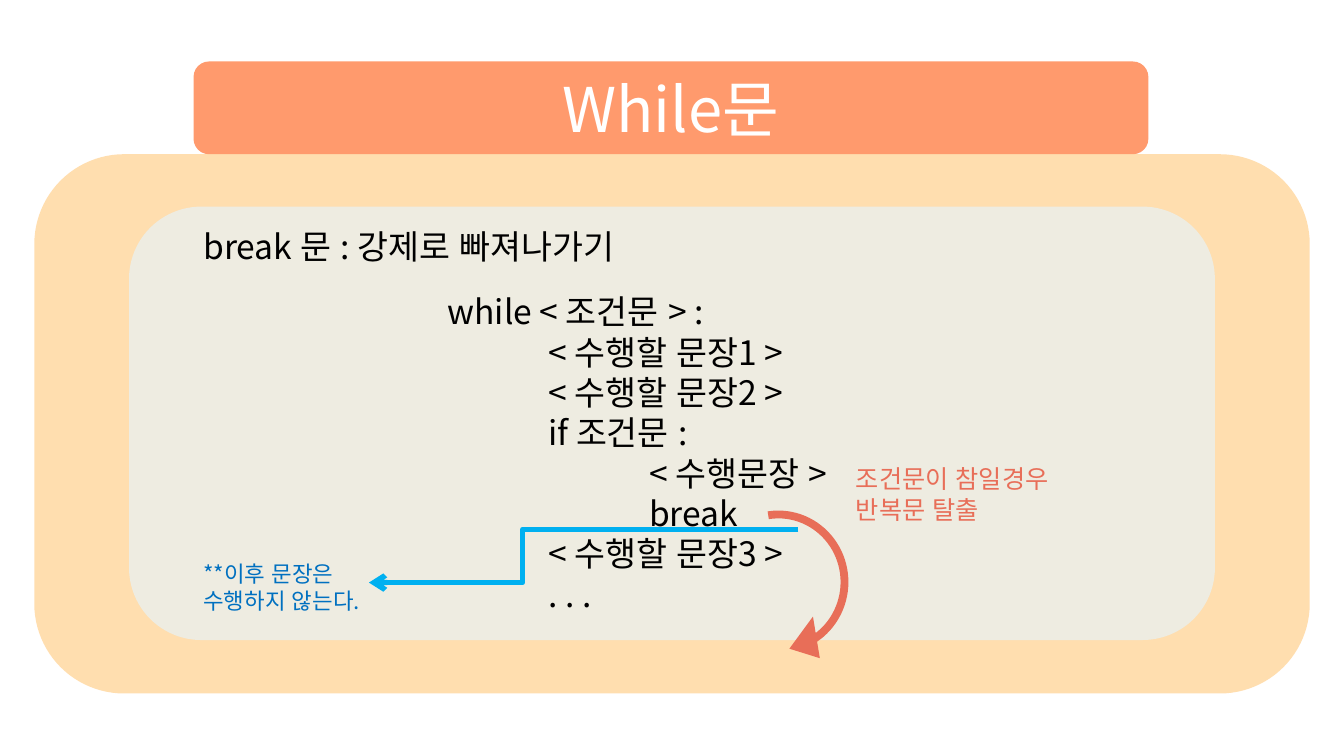
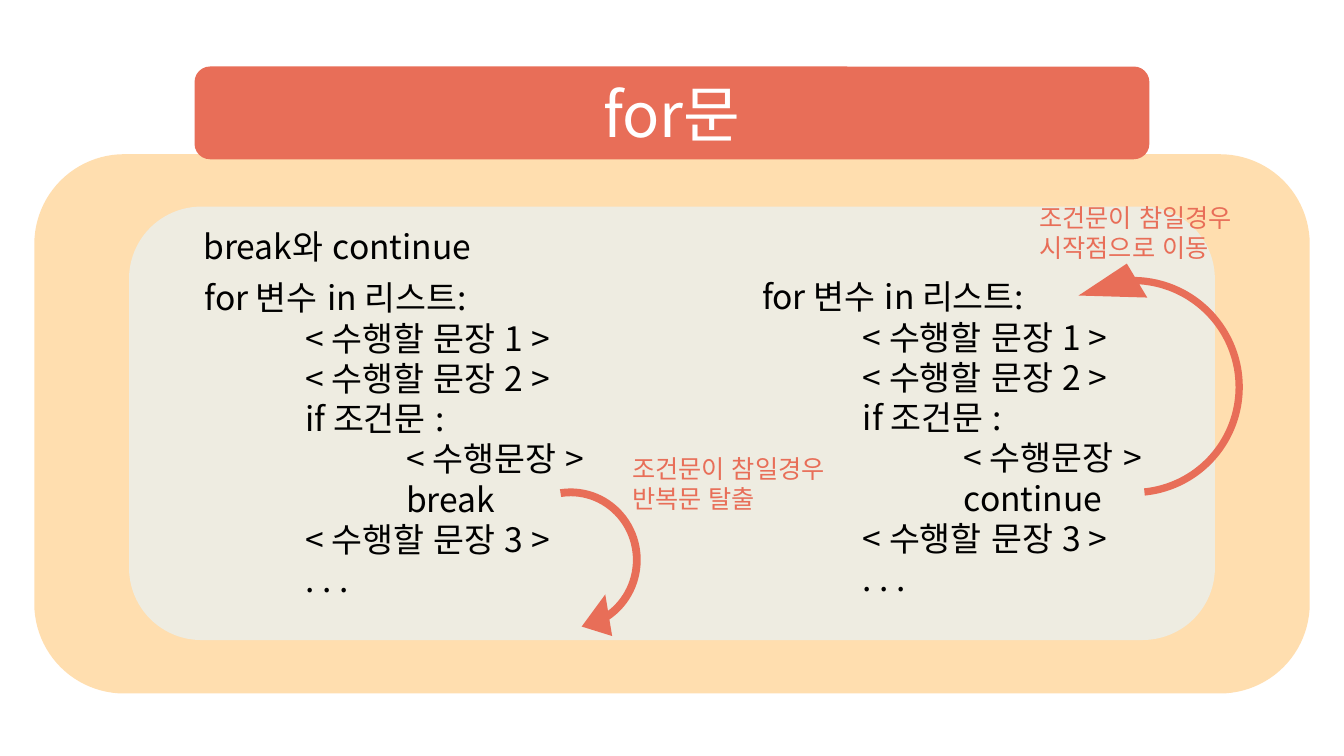
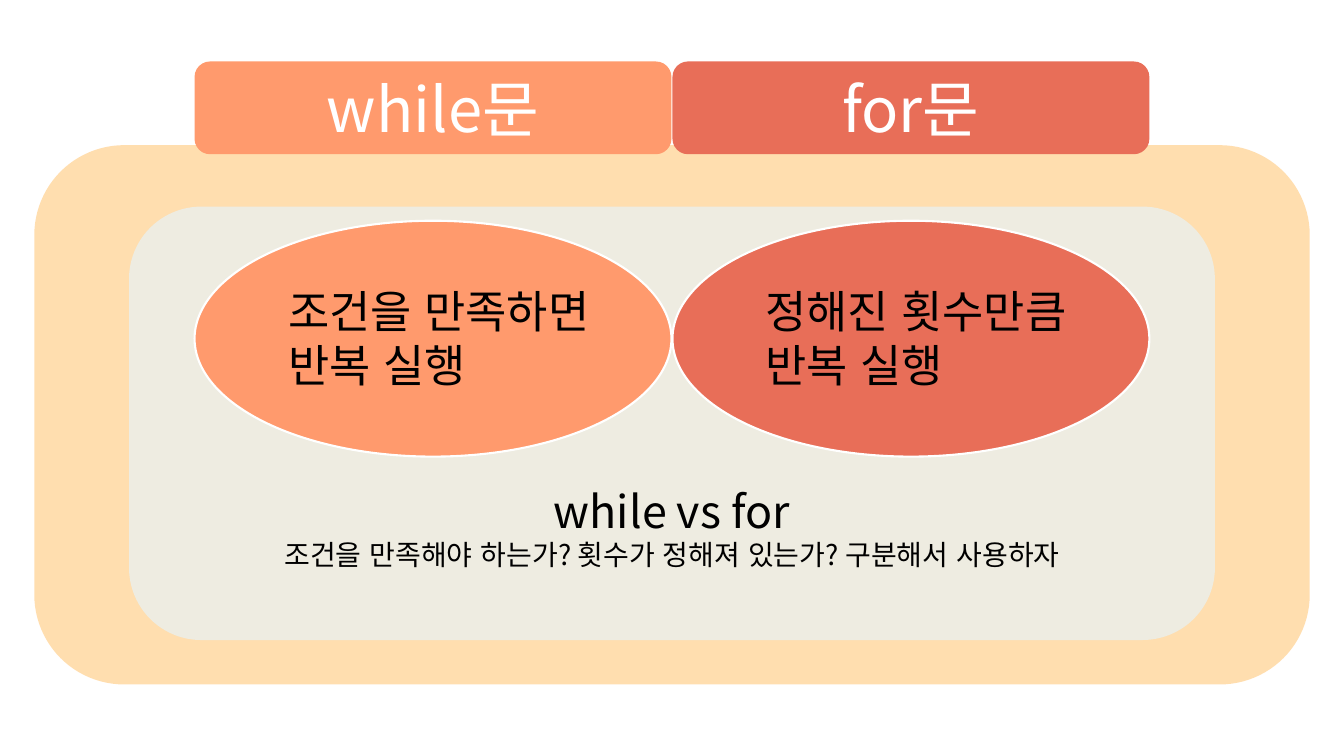
from dataclasses import dataclass

import lxml.etree
import pptx
import pptx.dml.color
import pptx.enum.lang
import pptx.enum.shapes
import pptx.enum.text
import pptx.oxml.ns
import pptx.shapes.autoshape
import pptx.slide
import pptx.text.text
import pptx.util

RGBColor = pptx.dml.color.RGBColor
Inches = pptx.util.Inches
Pt = pptx.util.Pt
Shape = pptx.shapes.autoshape.Shape
Slide = pptx.slide.Slide
PRESET = pptx.enum.shapes.MSO_SHAPE
ALIGN = pptx.enum.text.PP_ALIGN
qn = pptx.oxml.ns.qn

WHITE = RGBColor(0xFF, 0xFF, 0xFF)
BLACK = RGBColor(0x00, 0x00, 0x00)
ORANGE = RGBColor(0xFF, 0x9A, 0x6D)
CORAL = RGBColor(0xE8, 0x6E, 0x58)
AMBER = RGBColor(0xFF, 0xBE, 0x61)
CREAM = RGBColor(0xEE, 0xEC, 0xE1)
SKY = RGBColor(0x00, 0xB0, 0xF0)
BLUE = RGBColor(0x00, 0x70, 0xC0)

FONT = "Noto Sans CJK KR"
KOREAN = pptx.enum.lang.MSO_LANGUAGE_ID.KOREAN
TEXT_LEFT, LEFT, MIDDLE = 1.92, 1.93, 6.67
FULL, HALF = 9.47, 4.73
BANNER_HEIGHT = 0.92


@dataclass(frozen=True)
class Box:
    left: float
    top: float
    width: float
    height: float

    def lengths(self) -> tuple[int, ...]:
        return tuple(Inches(n) for n in (self.left, self.top, self.width, self.height))


@dataclass(frozen=True)
class Label:
    box: Box
    lines: tuple[str, ...]
    sizes: tuple[int, ...] = (24,)
    color: RGBColor = BLACK
    align: ALIGN | None = None


@dataclass(frozen=True)
class Banner:
    text: str
    box: Box
    color: RGBColor


@dataclass(frozen=True)
class Turn:
    box: Box
    rotation: float
    adjustments: tuple[float, ...]
    flipped: bool = False


EXIT_BEND = (0.045, 15.082, 195.318, 102.806, 0.121)
RESTART_BEND = (0.029, 19.836, 193.853, 90.67, 0.079)


def write(frame: pptx.text.text.TextFrame, lines: tuple[str, ...], sizes: tuple[int, ...],
          color: RGBColor, align: ALIGN | None) -> None:
    frame.word_wrap = True
    frame.text = "\n".join(lines)
    for number, paragraph in enumerate(frame.paragraphs):
        paragraph.alignment = align
        paragraph._p.get_or_add_pPr().set("defTabSz", str(Inches(1)))
        for run in paragraph.runs:
            run.font.size = Pt(sizes[min(number, len(sizes) - 1)])
            run.font.name = FONT
            run.font.language_id = KOREAN
            run.font.color.rgb = color
            east_asian = lxml.etree.SubElement(run.font._element, qn("a:ea"))
            east_asian.set("typeface", FONT)


def draw_label(slide: Slide, label: Label) -> None:
    frame = slide.shapes.add_textbox(*label.box.lengths()).text_frame
    write(frame, label.lines, label.sizes, label.color, label.align)


def draw_shape(slide: Slide, preset: PRESET, box: Box, color: RGBColor) -> Shape:
    shape = slide.shapes.add_shape(preset, *box.lengths())
    shape.shadow.inherit = False
    shape.fill.solid()
    shape.fill.fore_color.rgb = color
    shape.line.fill.background()
    return shape


def draw_banner(slide: Slide, banner: Banner) -> None:
    shape = draw_shape(slide, PRESET.ROUNDED_RECTANGLE, banner.box, banner.color)
    shape.text_frame.vertical_anchor = pptx.enum.text.MSO_ANCHOR.MIDDLE
    write(shape.text_frame, (banner.text,), (44,), WHITE, ALIGN.CENTER)


def draw_turn(slide: Slide, turn: Turn) -> None:
    arrow = draw_shape(slide, PRESET.CIRCULAR_ARROW, turn.box, CORAL)
    arrow.rotation = turn.rotation
    for index, value in enumerate(turn.adjustments):
        arrow.adjustments[index] = value
    if turn.flipped:
        arrow.element.spPr.xfrm.set("flipV", "1")


def draw_oval(slide: Slide, left: float, color: RGBColor) -> None:
    oval = draw_shape(slide, PRESET.OVAL, Box(left, 2.19, HALF, 2.34), color)
    oval.line.color.rgb = WHITE
    oval.line.width = Pt(1.5)


def draw_skip_arrow(slide: Slide) -> None:
    arrow = slide.shapes.add_connector(
        pptx.enum.shapes.MSO_CONNECTOR.ELBOW,
        Inches(7.92), Inches(5.25), Inches(3.66), Inches(5.78))
    arrow.line.color.rgb = SKY
    arrow.line.width = Pt(3.75)
    properties = arrow.element.spPr
    guides = properties.find(qn("a:prstGeom")).get_or_add_avLst()
    bend = lxml.etree.SubElement(guides, qn("a:gd"))
    bend.set("name", "adj1")
    bend.set("fmla", "val 64200")
    head = lxml.etree.SubElement(properties.find(qn("a:ln")), qn("a:tailEnd"))
    head.set("type", "arrow")
    lxml.etree.SubElement(properties, qn("a:effectLst"))


def add_framed_slide(deck: pptx.presentation.Presentation, banners: tuple[Banner, ...],
                     frame_top: float = 1.53) -> Slide:
    slide = deck.slides.add_slide(deck.slide_layouts[6])
    frame = draw_shape(slide, PRESET.ROUNDED_RECTANGLE, Box(0.34, frame_top, 12.65, 5.35), AMBER)
    tint = frame.element.spPr.find(qn("a:solidFill"))[0]
    lxml.etree.SubElement(tint, qn("a:alpha")).set("val", "50000")
    draw_shape(slide, PRESET.ROUNDED_RECTANGLE, Box(1.28, 2.05, 10.77, 4.3), CREAM)
    for banner in banners:
        draw_banner(slide, banner)
    return slide


def topic(text: str) -> Label:
    return Label(Box(TEXT_LEFT, 2.19, 6.93, 0.5), (text,))


def loop_code(box: Box, header: str, statement: str, jump: str) -> Label:
    first, second, third = (f"\t< {statement}{number} >" for number in (1, 2, 3))
    return Label(box, (header, first, second, "\tif 조건문 :", "\t\t< 수행문장 >",
                       f"\t\t{jump}", third, "\t. . ."))


def jump_note(left: float, top: float, result: str) -> Label:
    return Label(Box(left, top, 2.59, 0.71), ("조건문이 참일경우", result), (18,), CORAL)


def exit_turn(left: float, top: float) -> Turn:
    return Turn(Box(left, top, 1.76, 1.73), 90, EXIT_BEND)


def build_while(deck: pptx.presentation.Presentation) -> None:
    banner = Banner("While문", Box(TEXT_LEFT, 0.61, FULL, BANNER_HEIGHT), ORANGE)
    slide = add_framed_slide(deck, (banner,))
    draw_label(slide, topic("break 문 : 강제로 빠져나가기"))
    draw_label(slide, loop_code(Box(4.34, 2.84, 5.7, 3.33), "while < 조건문 > :",
                                "수행할 문장", "break"))
    draw_turn(slide, exit_turn(6.84, 4.91))
    draw_label(slide, jump_note(8.39, 4.55, "반복문 탈출"))
    draw_skip_arrow(slide)
    draw_label(slide, Label(Box(TEXT_LEFT, 5.51, 1.93, 0.64),
                            ("**이후 문장은 ", "수행하지 않는다."), (16,), BLUE))


def build_for(deck: pptx.presentation.Presentation) -> None:
    banner = Banner("for문", Box(LEFT, 0.66, FULL, BANNER_HEIGHT), CORAL)
    slide = add_framed_slide(deck, (banner,))
    draw_label(slide, topic("break와 continue"))
    for left, top, jump in ((LEFT, 2.7, "break"), (7.46, 2.69, "continue")):
        draw_label(slide, loop_code(Box(left, top, 4.29, 3.74), "for 변수 in 리스트:",
                                    "수행할 문장 ", jump))
    draw_turn(slide, exit_turn(4.78, 4.69))
    draw_turn(slide, Turn(Box(9.99, 2.59, 2.5, 2.49), 235.1, RESTART_BEND, True))
    draw_label(slide, jump_note(6.17, 4.45, "반복문 탈출"))
    draw_label(slide, jump_note(10.21, 1.96, "시작점으로 이동"))


def build_comparison(deck: pptx.presentation.Presentation) -> None:
    halves = ((MIDDLE, "for문", CORAL), (LEFT, "while문", ORANGE))
    slide = add_framed_slide(deck, tuple(
        Banner(text, Box(left, 0.61, HALF, BANNER_HEIGHT), color)
        for left, text, color in halves), 1.44)
    draw_oval(slide, LEFT, ORANGE)
    draw_oval(slide, MIDDLE, CORAL)
    draw_label(slide, Label(Box(2.76, 2.77, 3.44, 1.18), ("조건을 만족하면 반복 실행",), (32,)))
    draw_label(slide, Label(Box(7.49, 2.77, 3.49, 1.18), ("정해진 횟수만큼", "반복 실행"), (32,)))
    draw_label(slide, Label(
        Box(LEFT, 4.75, FULL, 0.98),
        ("while vs for", "조건을 만족해야 하는가? 횟수가 정해져 있는가? 구분해서 사용하자"),
        (32, 20), BLACK, ALIGN.CENTER))


def main() -> None:
    deck = pptx.Presentation()
    deck.slide_width = Inches(13.33)
    deck.slide_height = Inches(7.5)
    build_while(deck)
    build_for(deck)
    build_comparison(deck)
    deck.save("out.pptx")


main()
